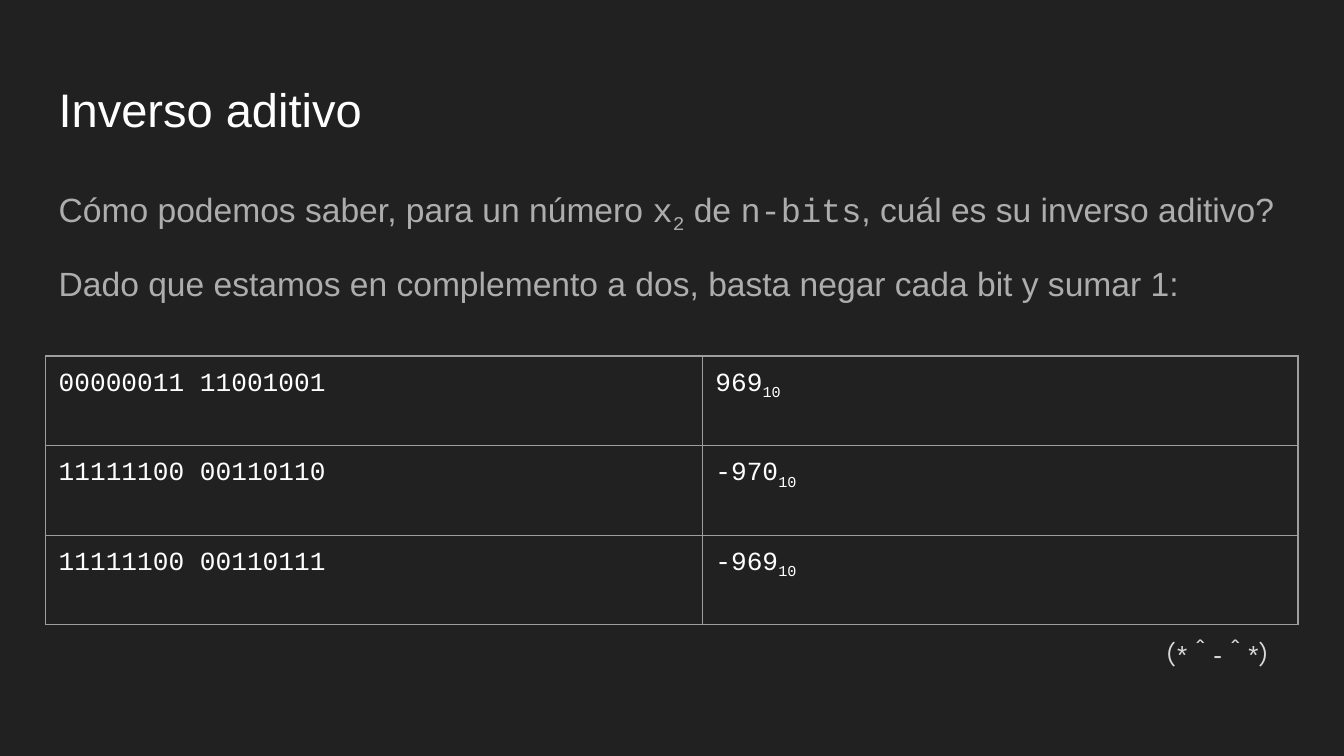
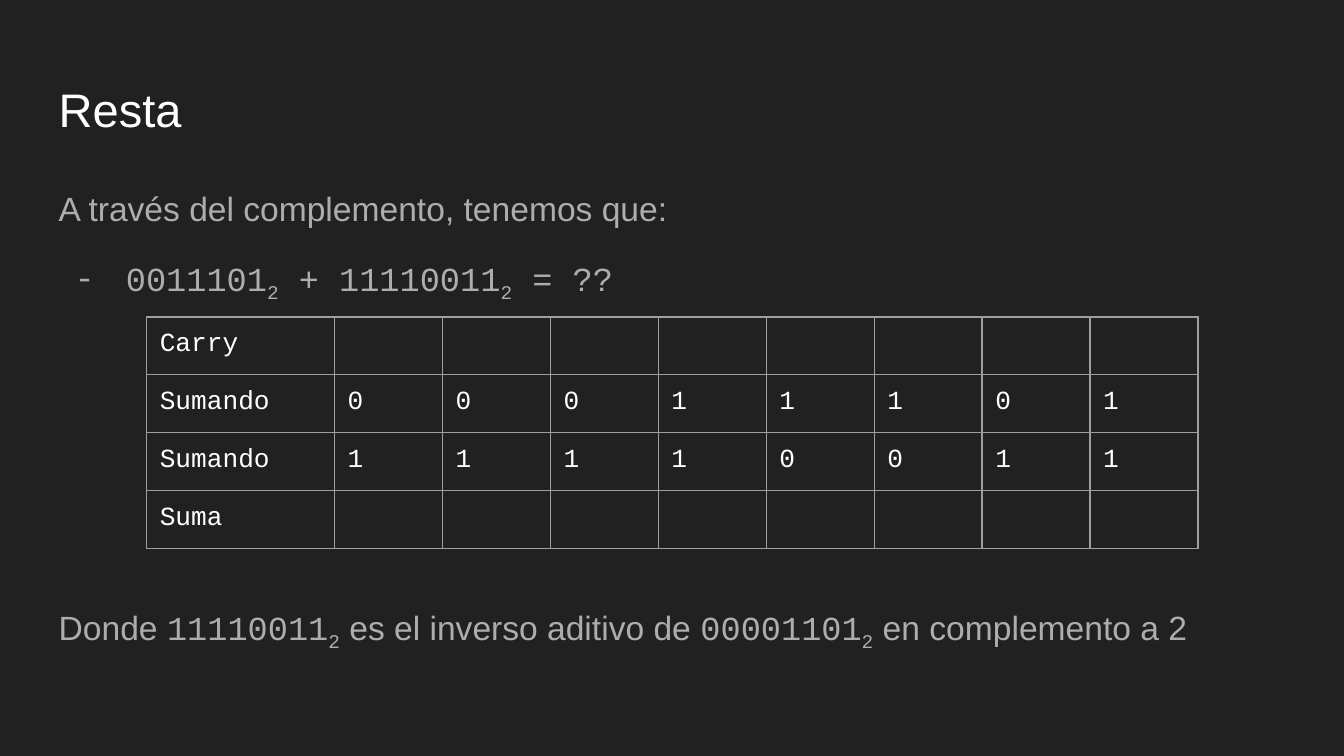
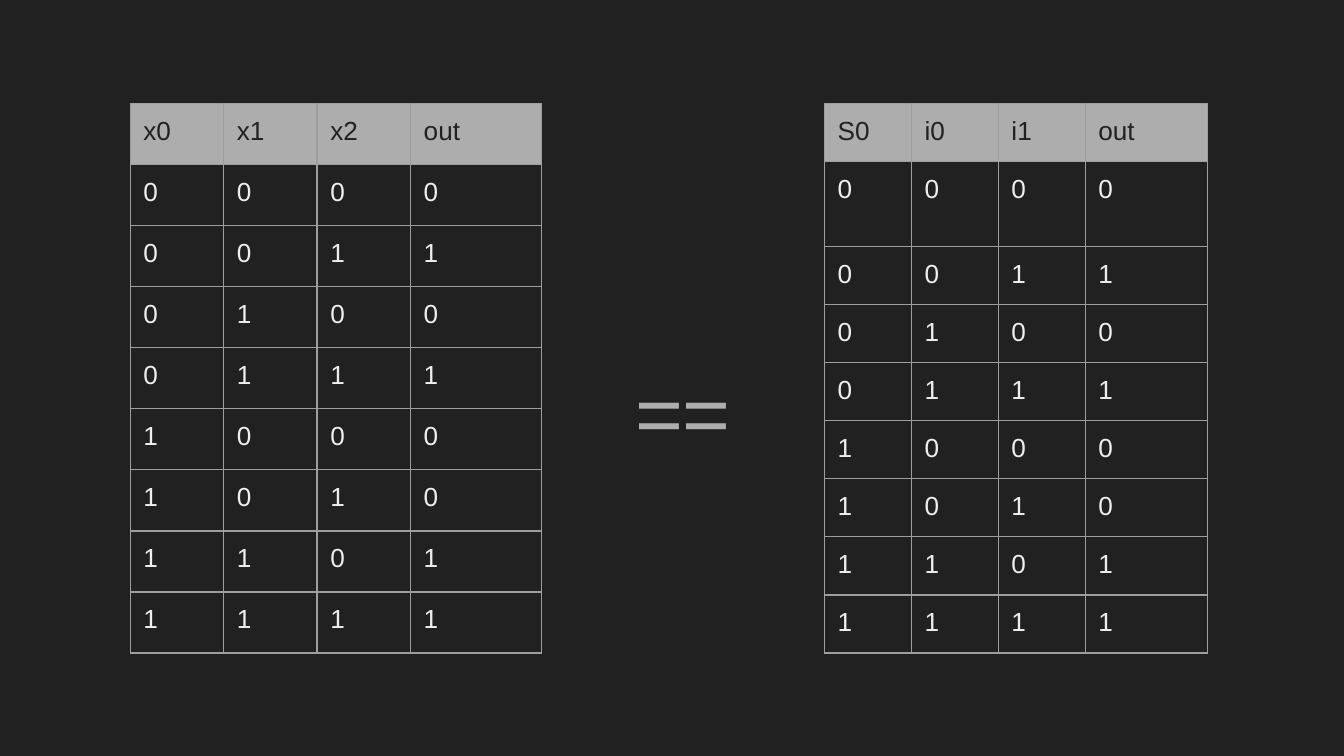
import dataclasses
import itertools

import lxml.etree
import pptx
import pptx.dml.color
import pptx.enum.text
import pptx.oxml.ns
import pptx.util

Cm = pptx.util.Cm
ALIGN = pptx.enum.text.PP_ALIGN
ANCHOR = pptx.enum.text.MSO_ANCHOR


@dataclasses.dataclass(frozen=True)
class Theme:
    """Colours, fonts and type sizes shared by the slides."""
    background: str = "212121"
    title: str = "FFFFFF"
    body: str = "ADADAD"
    border: str = "9E9E9E"
    digit: str = "EEEEEE"
    face: str = "D9D9D9"
    sans: str = "Arial"
    mono: str = "Courier New"
    title_size: float = 25.2
    body_size: float = 18
    cell_size: float = 14
    sign_size: float = 44
    border_width: float = 0.75
    inset: float = 0.25


@dataclasses.dataclass(frozen=True)
class Box:
    """A region in centimetres."""
    left: float
    top: float
    width: float
    height: float

    def lengths(self):
        """Return the four lengths of the region."""
        return [Cm(value) for value in dataclasses.astuple(self)]


THEME = Theme()
PAGE = Box(0, 0, 25.4, 14.29)
SANS, MONO, SUB = "sans", "mono", "sub"


def add_xml(parent, tag, **attributes):
    """Append an element with the given attributes."""
    return lxml.etree.SubElement(parent, pptx.oxml.ns.qn(tag), attributes)


def write_runs(paragraph, pieces, size, colour):
    """Write (text, style) pieces into a paragraph."""
    for text, style in pieces:
        run = paragraph.add_run()
        run.text = text
        run.font.name = THEME.sans if style == SANS else THEME.mono
        run.font.size = pptx.util.Pt(size)
        run.font.color.rgb = pptx.dml.color.RGBColor.from_string(colour)
        if style == SUB:
            run.font._element.set("baseline", "-25000")


def add_text(slide, box, paragraphs, size, colour, align=ALIGN.LEFT, anchor=ANCHOR.TOP):
    """Add a text region and return its paragraphs."""
    frame = slide.shapes.add_textbox(*box.lengths()).text_frame
    frame.word_wrap = True
    frame.vertical_anchor = anchor
    frame.margin_left = frame.margin_right = Cm(THEME.inset)
    frame.margin_top = frame.margin_bottom = Cm(THEME.inset)
    for index, pieces in enumerate(paragraphs):
        paragraph = frame.add_paragraph() if index else frame.paragraphs[0]
        paragraph.alignment = align
        write_runs(paragraph, pieces, size, colour)
    return frame.paragraphs


def add_title(slide, box, title):
    """Add the slide title."""
    add_text(slide, box, [[(title, SANS)]], THEME.title_size, THEME.title, anchor=ANCHOR.BOTTOM)


def add_body(slide, box, paragraphs):
    """Add body paragraphs with their shared spacing."""
    lines = add_text(slide, box, paragraphs, THEME.body_size, THEME.body)
    for index, line in enumerate(lines):
        line.line_spacing = 1.15
        line.space_before = pptx.util.Pt(12 if index else 0)
    lines[-1].space_after = pptx.util.Pt(12)
    return lines


def add_dash(line):
    """Turn a paragraph into an indented dash item."""
    properties = line._p.get_or_add_pPr()
    properties.set("marL", str(Cm(1.27)))
    properties.set("indent", str(Cm(-0.97)))
    add_xml(add_xml(properties, "a:buClr"), "a:srgbClr", val=THEME.body)
    add_xml(properties, "a:buFont", typeface=THEME.mono)
    add_xml(properties, "a:buChar", char="-")


def format_cell(cell, pieces, colour, fill):
    """Fill one cell with text, borders and background."""
    cell.margin_left = cell.margin_right = Cm(THEME.inset)
    cell.margin_top = cell.margin_bottom = Cm(THEME.inset)
    paragraph = cell.text_frame.paragraphs[0]
    write_runs(paragraph, pieces, THEME.cell_size, colour)
    if not pieces:
        add_xml(paragraph._p, "a:endParaRPr", sz=str(THEME.cell_size * 100))
    properties = cell._tc.get_or_add_tcPr()
    for side in "LRTB":
        border = add_xml(properties, f"a:ln{side}", w=str(pptx.util.Pt(THEME.border_width)))
        add_xml(add_xml(border, "a:solidFill"), "a:srgbClr", val=THEME.border)
    if fill:
        cell.fill.solid()
        cell.fill.fore_color.rgb = pptx.dml.color.RGBColor.from_string(fill)
    else:
        cell.fill.background()


def add_grid(slide, box, rows, first_column=None, last_column=None, tall_row=None,
             colour=THEME.title, header=False):
    """Add a bordered table; lengths not given share the box equally."""
    columns = len(rows[0])
    table = slide.shapes.add_table(len(rows), columns, *box.lengths()).table
    table.first_row = table.horz_banding = False
    given = {0: first_column, columns - 1: last_column}
    given = {index: width for index, width in given.items() if width}
    shared = (box.width - sum(given.values())) / max(columns - len(given), 1)
    for index, column in enumerate(table.columns):
        column.width = Cm(given.get(index, shared))
    tall = dict([tall_row]) if tall_row else {}
    row_height = (box.height - sum(tall.values())) / (len(rows) - len(tall))
    for index, row in enumerate(table.rows):
        row.height = Cm(tall.get(index, row_height))
        is_header = header and index == 0
        for cell, pieces in zip(row.cells, rows[index]):
            format_cell(cell, pieces, THEME.background if is_header else colour,
                        THEME.body if is_header else None)


def add_truth_table(slide, box, names, last_column, tall_row=None):
    """Add a selector's truth table under the given column names."""
    rows = [names] + [
        (select, first, second, first if select else second)
        for select, first, second in itertools.product((0, 1), repeat=3)]
    rows = [[[(str(value), SANS)] for value in row] for row in rows]
    add_grid(slide, box, rows, last_column=last_column, tall_row=tall_row,
             colour=THEME.digit, header=True)


def add_slide(deck):
    """Add a blank slide with the dark background."""
    slide = deck.slides.add_slide(deck.slide_layouts[6])
    slide.background.fill.solid()
    slide.background.fill.fore_color.rgb = pptx.dml.color.RGBColor.from_string(THEME.background)
    return slide


def add_topic(slide, box, title, paragraphs):
    """Add the title and body and return the body paragraphs."""
    add_title(slide, Box(box.left, box.top, box.width, 1.6), title)
    return add_body(slide, Box(box.left, box.top + 1.95, box.width, 9.5), paragraphs)


def build_inverse(slide, box):
    """Build the additive inverse slide."""
    add_topic(slide, box, "Inverso aditivo", [
        [("Cómo podemos saber, para un número ", SANS), ("x", MONO), ("2", SUB),
         (" de ", SANS), ("n-bits", MONO), (", cuál es su inverso aditivo?", SANS)],
        [("Dado que estamos en complemento a dos, basta negar cada bit y sumar 1:", SANS)]])
    conversions = [("00000011 11001001", "969"), ("11111100 00110110", "-970"),
                   ("11111100 00110111", "-969")]
    rows = [[[(bits, MONO)], [(decimal, MONO), ("10", SUB)]] for bits, decimal in conversions]
    add_grid(slide, Box(box.left, box.top + 5.49, box.width, 5.08), rows, first_column=12.41)
    add_text(slide, Box(box.left + 17.9, box.top + 10.57, 5.77, 1.12),
             [[("（*＾-＾*）", SANS)]], THEME.cell_size, THEME.face, ALIGN.RIGHT)


def build_subtraction(slide, box):
    """Build the subtraction slide."""
    lines = add_topic(slide, box, "Resta", [
        [("A través del complemento, tenemos que:", SANS)],
        [("0011101", MONO), ("2", SUB), (" + 11110011", MONO), ("2", SUB), (" = ??", MONO)],
        [("Donde ", SANS), ("11110011", MONO), ("2", SUB), (" es el inverso aditivo de ", SANS),
         ("00001101", MONO), ("2", SUB), (" en complemento a 2", SANS)]])
    add_dash(lines[1])
    lines[2].space_before = pptx.util.Pt(159)
    operands = [("Carry", ""), ("Sumando", "00011101"), ("Sumando", "11110011"), ("Suma", "")]
    rows = [[[(label, MONO)]] + [[(bit, MONO)] if bit.strip() else [] for bit in bits.ljust(8)]
            for label, bits in operands]
    add_grid(slide, Box(box.left + 1.91, box.top + 4.75, 19.87, 4.27), rows, first_column=3.55)


def build_equivalence(slide, box):
    """Build the slide that equates two truth tables."""
    add_truth_table(slide, Box(box.left + 15.58, box.top + 1.95, 7.24, 10.4),
                    ("S0", "i0", "i1", "out"), 2.31, (1, 1.61))
    add_truth_table(slide, Box(box.left + 2.46, box.top + 1.95, 7.78, 10.4),
                    ("x0", "x1", "x2", "out"), 2.48)
    add_text(slide, Box(box.left + 11.56, box.top + 6.58, 2.7, 2.39),
             [[("==", SANS)]], THEME.sign_size, THEME.body, ALIGN.CENTER)


def main():
    """Build and save the deck."""
    deck = pptx.Presentation()
    deck.slide_width, deck.slide_height = Cm(PAGE.width), Cm(PAGE.height)
    content = Box(0.86, 1.24, 23.67, 11.45)
    build_inverse(add_slide(deck), content)
    build_subtraction(add_slide(deck), content)
    build_equivalence(add_slide(deck), PAGE)
    deck.save("out.pptx")


if __name__ == "__main__":
    main()
